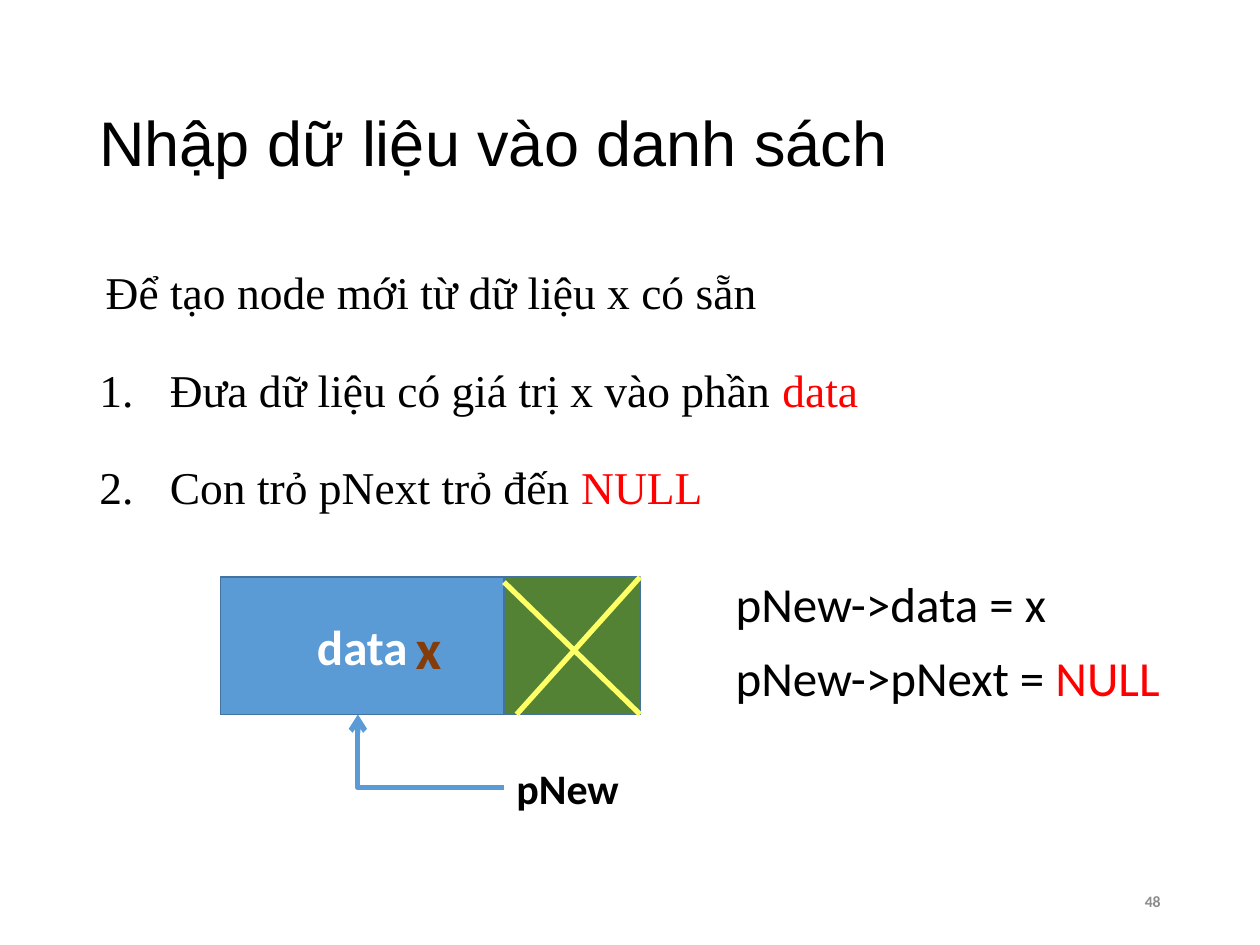
from lxml import etree
from pptx import Presentation
from pptx import util as u
from pptx.dml.color import RGBColor
from pptx.enum import shapes, text
from pptx.oxml import ns

PX = u.Inches(1) // 100
BLACK = RGBColor(0x00, 0x00, 0x00)
WHITE = RGBColor(0xFF, 0xFF, 0xFF)
RED = RGBColor(0xFF, 0x00, 0x00)
GREY = RGBColor(0x8C, 0x8C, 0x8C)
BLUE = RGBColor(0x5B, 0x9B, 0xD5)
DARK_BLUE = RGBColor(0x43, 0x73, 0x9E)
GREEN = RGBColor(0x54, 0x82, 0x35)
YELLOW = RGBColor(0xFF, 0xFF, 0x66)
BROWN = RGBColor(0x84, 0x3C, 0x0B)
TOP, MIDDLE = text.MSO_ANCHOR.TOP, text.MSO_ANCHOR.MIDDLE
LEFT, CENTER, RIGHT = text.PP_ALIGN.LEFT, text.PP_ALIGN.CENTER, text.PP_ALIGN.RIGHT


def px(*lengths):
    """Turn px lengths into EMU."""
    return [u.Emu(length * PX) for length in lengths]


def add_runs(paragraph, *parts, size, font="Calibri", color=BLACK, bold=False, align=LEFT):
    """Fill a paragraph with parts, each a string or a (string, colour) pair."""
    paragraph.alignment = align
    for part in parts:
        wording, part_color = (part, color) if isinstance(part, str) else part
        run = paragraph.add_run()
        run.text = wording
        run.font.size = u.Pt(size)
        run.font.name = font
        run.font.bold = bold
        run.font.color.rgb = part_color


def add_frame(slide, box, anchor=TOP, wrap=True):
    """Add an empty text box and return its text frame."""
    frame = slide.shapes.add_textbox(*px(*box)).text_frame
    frame.word_wrap = wrap
    frame.vertical_anchor = anchor
    return frame


def add_label(slide, box, *parts, anchor=TOP, wrap=True, **style):
    """Add a text box with one styled paragraph."""
    add_runs(add_frame(slide, box, anchor, wrap).paragraphs[0], *parts, **style)


def add_steps(slide, box, intro, steps):
    """Write the intro line and the numbered steps below it."""
    frame = add_frame(slide, box)
    for index, parts in enumerate([intro, *steps]):
        paragraph = frame.add_paragraph() if index else frame.paragraphs[0]
        add_runs(paragraph, *parts, size=26, font="Times New Roman")
        paragraph.line_spacing = 1.5
        paragraph.space_before = u.Pt(9)
        margin, indent = px(56, -56) if index else px(5, 0)
        properties = paragraph._p.get_or_add_pPr()
        properties.set("marL", str(margin))
        properties.set("indent", str(indent))
        if index:
            etree.SubElement(properties, ns.qn("a:buAutoNum"), type="arabicPeriod")


def add_cell(slide, box, fill):
    """Add one outlined field of the node."""
    cell = slide.shapes.add_shape(shapes.MSO_SHAPE.RECTANGLE, *px(*box))
    cell.shadow.inherit = False
    cell.fill.solid()
    cell.fill.fore_color.rgb = fill
    cell.line.color.rgb = DARK_BLUE
    cell.line.width = u.Pt(1)
    return cell


def add_stroke(slide, start, end, color, kind=shapes.MSO_CONNECTOR.STRAIGHT):
    """Add a thick connector without shadow."""
    stroke = slide.shapes.add_connector(kind, *px(*start, *end))
    stroke.line.color.rgb = color
    stroke.line.width = u.Pt(3)
    etree.SubElement(stroke._element.spPr, ns.qn("a:effectLst"))
    return stroke


def add_node(slide, box):
    """Draw the data field, the crossed-out pointer field and the pNew pointer."""
    left, top, width, height = box
    split, right, bottom = left + 225, left + width, top + height
    data = add_cell(slide, (left, top, split - left, height), BLUE)
    data.text_frame.vertical_anchor = MIDDLE
    add_runs(data.text_frame.paragraphs[0], "data", size=28, color=WHITE, bold=True, align=CENTER)
    add_cell(slide, (split, top, right - split, height), GREEN)
    add_stroke(slide, (right, top), (split + 10, bottom), YELLOW)
    add_stroke(slide, (split, top + 4), (right, bottom), YELLOW)

    pointer = add_stroke(slide, (left + 109, bottom), (split, bottom + 58), BLUE,
                         shapes.MSO_CONNECTOR.ELBOW)
    properties = pointer._element.spPr
    properties.find(ns.qn("a:xfrm")).set("rot", "10800000")
    properties.find(ns.qn("a:prstGeom")).set("prst", "bentConnector2")
    etree.SubElement(properties.find(ns.qn("a:ln")), ns.qn("a:tailEnd"), type="arrow")

    add_label(slide, (split, bottom + 33, 103, 50), "pNew", size=24, bold=True, wrap=False)
    add_label(slide, (left + 145, top + 24, 43, 64), "x",
              size=32, color=BROWN, bold=True, wrap=False)


def add_code(slide, box):
    """Write the two assignments beside the node."""
    left, top, width, height = box
    add_label(slide, (left, top, width, height), "pNew->data = x", size=28)
    add_label(slide, (left, top + 59, width, height), "pNew->pNext = ", ("NULL", RED), size=28)


def main():
    """Build and save the slide."""
    deck = Presentation()
    deck.slide_width, deck.slide_height = px(1000, 750)
    slide = deck.slides.add_slide(deck.slide_layouts[6])
    add_label(slide, (69, 40, 862, 145), "Nhập dữ liệu vào danh sách",
              size=36, font="Arial", anchor=MIDDLE)
    add_steps(slide, (69, 183, 881, 267),
              ["Để tạo node mới từ dữ liệu x có sẵn"],
              [["Đưa dữ liệu có giá trị x vào phần ", ("data", RED)],
               ["Con trỏ pNext trỏ đến ", ("NULL", RED)]])
    add_label(slide, (662, 695, 269, 40), "48",
              size=9, color=GREY, bold=True, align=RIGHT, anchor=MIDDLE)
    add_node(slide, (175, 458, 333, 109))
    add_code(slide, (574, 450, 401, 57))
    deck.save("out.pptx")


if __name__ == "__main__":
    main()
